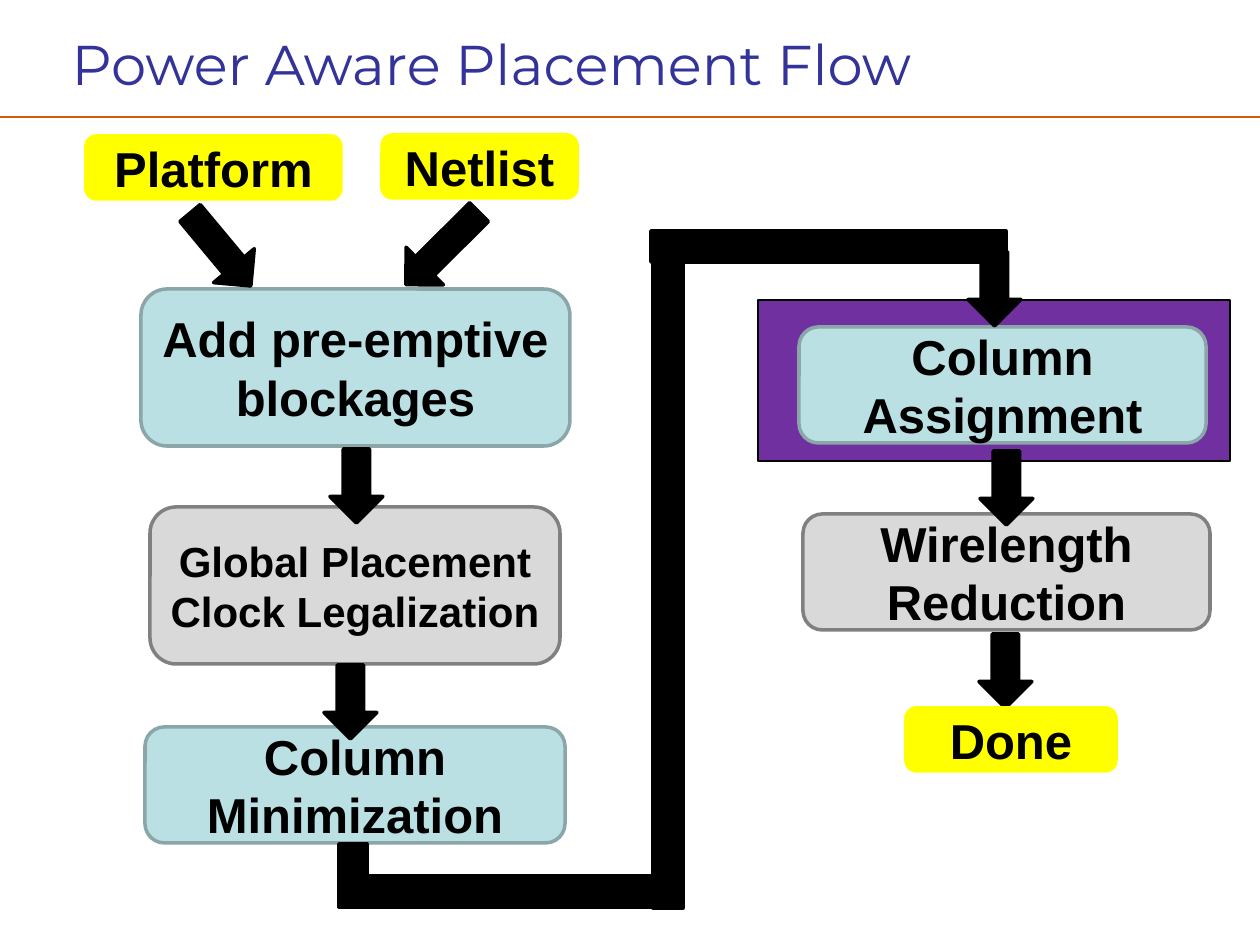
from pptx import Presentation
from pptx.dml.color import RGBColor
from pptx.enum.shapes import MSO_CONNECTOR, MSO_SHAPE as SHAPE
from pptx.enum.text import MSO_ANCHOR, PP_ALIGN
from pptx.oxml.ns import qn
from pptx.util import Pt
from lxml.etree import SubElement

EMU_PER_PX = 914400 / 126
WIDTH, HEIGHT = 1260, 945


class Theme:
    title_font, body_font = "Montserrat", "Arial"
    title_size, box_size, small_size = 32, 28, 24
    title, text, rule = "333399", "000000", "D55C01"
    arrow, frame = "000000", "7030A0"
    # box kind: (fill, outline)
    boxes = {
        "added": ("BBE0E3", "8AA6A8"),
        "existing": ("D9D9D9", "808080"),
        "end": ("FFFF00", "FFFF00"),
    }


TITLE = "Power Aware Placement Flow"
TITLE_AREA = (59, 14, 1140, 98)
RULE_Y = 117
FRAME = (758, 300, 472, 161)

# (text, kind, area, type size)
BOXES = [
    ("Add pre-emptive blockages", "added", (141, 289, 429, 157), Theme.box_size),
    ("Global Placement\nClock Legalization", "existing", (150, 507, 410, 157), Theme.small_size),
    ("Column Minimization", "added", (145, 727, 420, 116), Theme.box_size),
    ("Column Assignment", "added", (799, 327, 407, 116), Theme.box_size),
    ("Wirelength Reduction", "existing", (803, 514, 407, 116), Theme.box_size),
    ("Netlist", "end", (382, 135, 195, 63), Theme.box_size),
    ("Platform", "end", (86, 136, 255, 63), Theme.box_size),
    ("Done", "end", (906, 708, 210, 63), Theme.box_size),
]

ARROW_W, ARROW_H = 53, 74
DONE_ARROW = (979, 634)
STEP_ARROWS = [(330, 449), (968, 252), (324, 665), (980, 451)]
# (left, top, height, rotation)
INPUT_ARROWS = [(194, 202, 95, 320.2), (416, 197, 103, 45.2)]
# The long path from the left column to the right one
PATH_BARS = [(339, 844, 28, 63), (339, 876, 314, 31),
             (653, 231, 30, 677), (651, 231, 355, 31)]


def px(*values):
    return [round(v * EMU_PER_PX) for v in values]


def rgb(value):
    return RGBColor.from_string(value)


def write(sp, text, *, size, font=Theme.body_font, color=Theme.text,
          bold=True, align=PP_ALIGN.CENTER):
    tf = sp.text_frame
    tf.word_wrap = True
    tf.vertical_anchor = MSO_ANCHOR.MIDDLE
    tf.text = text
    for p in tf.paragraphs:
        p.alignment = align
        for r in p.runs:
            r.font.name, r.font.size, r.font.bold = font, Pt(size), bold
            r.font.color.rgb = rgb(color)


def add_shape(s, kind, area, fill, line, width=2, rotation=0):
    sp = s.shapes.add_shape(kind, *px(*area))
    sp.shadow.inherit = False
    sp.fill.solid()
    sp.fill.fore_color.rgb = rgb(fill)
    sp.line.color.rgb = rgb(line)
    sp.line.width = Pt(width)
    sp.rotation = rotation
    return sp


def add_arrow(s, left, top, height=ARROW_H, rotation=0):
    add_shape(s, SHAPE.DOWN_ARROW, (left, top, ARROW_W, height),
              Theme.arrow, Theme.arrow, rotation=rotation)


def add_title(s):
    sp = s.shapes.title
    sp.left, sp.top, sp.width, sp.height = px(*TITLE_AREA)
    write(sp, TITLE, size=Theme.title_size, font=Theme.title_font,
          color=Theme.title, bold=False, align=PP_ALIGN.LEFT)
    rule = s.shapes.add_connector(MSO_CONNECTOR.STRAIGHT, *px(0, RULE_Y, WIDTH, RULE_Y))
    rule.line.color.rgb = rgb(Theme.rule)
    rule.line.width = Pt(1)
    SubElement(rule._element.spPr, qn("a:effectLst"))


def main():
    prs = Presentation()
    prs.slide_width, prs.slide_height = px(WIDTH, HEIGHT)
    s = prs.slides.add_slide(prs.slide_layouts[5])
    add_title(s)

    add_shape(s, SHAPE.RECTANGLE, FRAME, Theme.frame, Theme.arrow, width=0.75)
    add_arrow(s, *DONE_ARROW)  # its tip lies behind the Done box
    for text, kind, area, size in BOXES:
        sp = add_shape(s, SHAPE.ROUNDED_RECTANGLE, area, *Theme.boxes[kind])
        write(sp, text, size=size)
    for bar in PATH_BARS:
        add_shape(s, SHAPE.RECTANGLE, bar, Theme.arrow, Theme.arrow)
    for arrow in STEP_ARROWS + INPUT_ARROWS:
        add_arrow(s, *arrow)

    prs.save("out.pptx")


if __name__ == "__main__":
    main()
